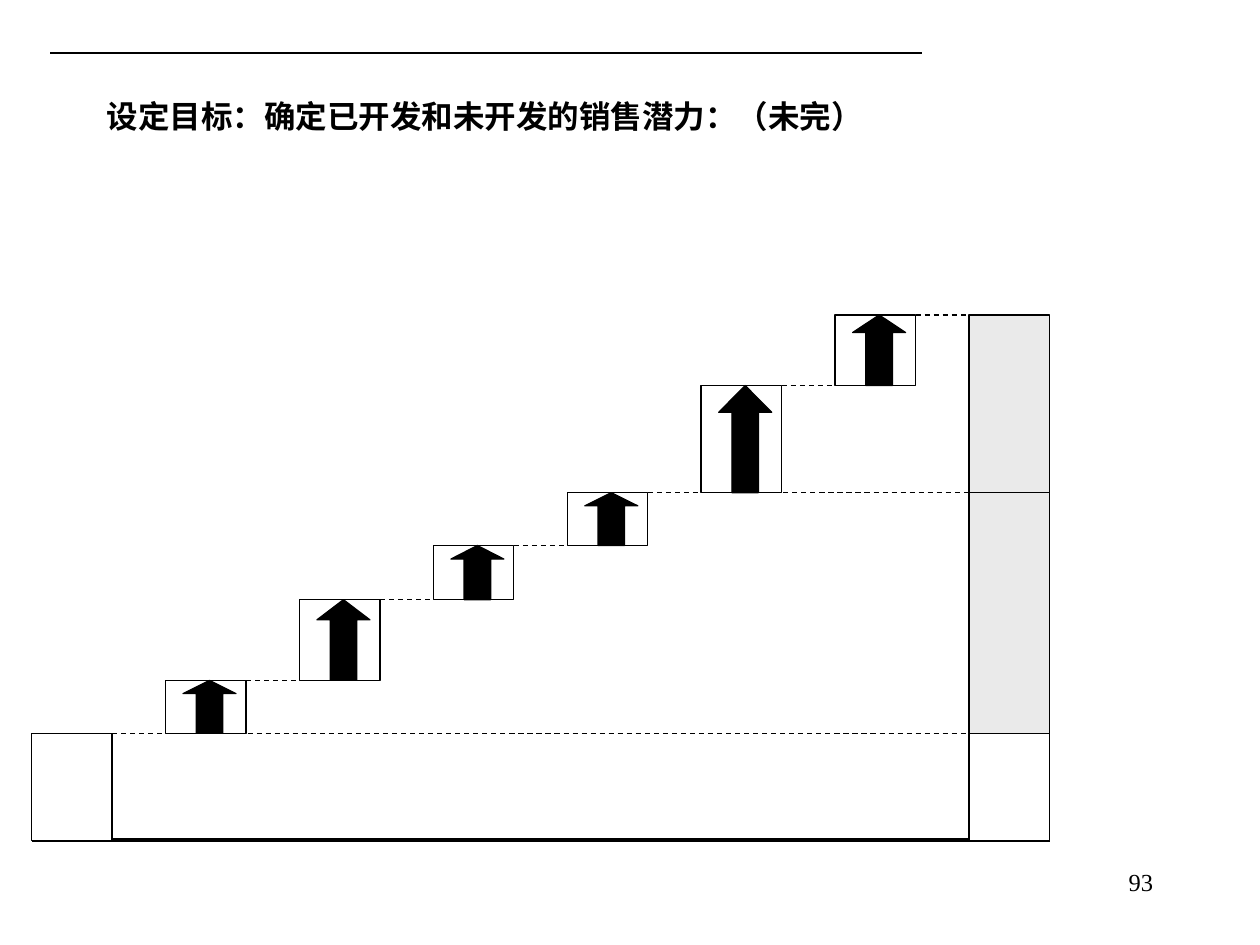
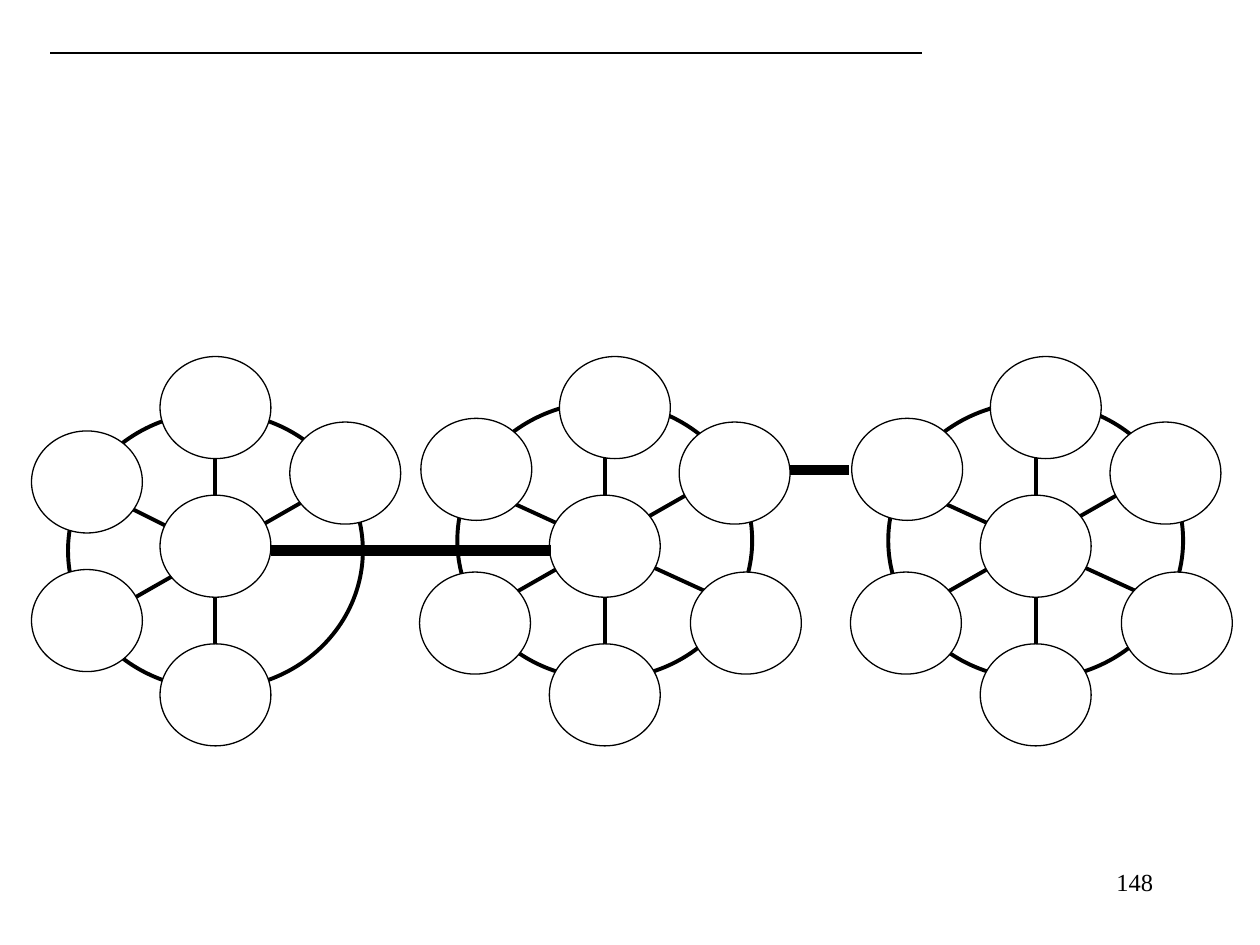
from lxml.etree import SubElement
from pptx import Presentation
from pptx.dml.color import RGBColor
from pptx.enum.dml import MSO_LINE
from pptx.enum.shapes import MSO_CONNECTOR, MSO_SHAPE
from pptx.enum.text import MSO_ANCHOR, PP_ALIGN
from pptx.oxml.ns import qn
from pptx.util import Inches, Pt

COLORS = {"ink": "000000", "paper": "FFFFFF", "potential": "EAEAEA"}
FONT = "Times New Roman"
THIN, RULE, BOLD, HEAVY = 0.75, 1.5, 2.25, 6

deck = Presentation()
deck.slide_width, deck.slide_height = Inches(10), Inches(7.5)
COLUMN = deck.slide_width / 10
ROW = deck.slide_height / 7.5


def add_figure(page, kind, box, fill="paper", weight=THIN):
    left, top, width, height = box
    figure = page.shapes.add_shape(
        kind, int(left * COLUMN), int(top * ROW), int(width * COLUMN), int(height * ROW))
    figure.shadow.inherit = False
    figure.fill.solid()
    figure.fill.fore_color.rgb = RGBColor.from_string(COLORS[fill])
    figure.line.color.rgb = RGBColor.from_string(COLORS["ink"])
    figure.line.width = Pt(weight)
    return figure


def add_stroke(page, start, end, weight=THIN, dash=None):
    stroke = page.shapes.add_connector(
        MSO_CONNECTOR.STRAIGHT, int(start[0] * COLUMN), int(start[1] * ROW),
        int(end[0] * COLUMN), int(end[1] * ROW))
    stroke.line.color.rgb = RGBColor.from_string(COLORS["ink"])
    stroke.line.width = Pt(weight)
    if dash:
        stroke.line.dash_style = dash
    SubElement(stroke._element.spPr, qn("a:effectLst"))


TITLE = {"box": (0.75, 0.42, 8.5, 1), "anchor": MSO_ANCHOR.MIDDLE, "align": PP_ALIGN.LEFT,
         "font": {"name": FONT, "size": Pt(18), "bold": True}}
NUMBER = {"box": (7.17, 6.83, 2.08, 0.5), "anchor": MSO_ANCHOR.TOP, "align": PP_ALIGN.RIGHT,
          "font": {"name": FONT, "size": Pt(14), "bold": False}}
page_texts = [
    [("设定目标：确定已开发和未开发的销售潜力：（未完）", TITLE), ("93", NUMBER)],
    [("148", NUMBER)],
]

pages = []
for texts in page_texts:
    page = deck.slides.add_slide(deck.slide_layouts[6])
    pages.append(page)
    add_stroke(page, (0.4, 0.42), (7.32, 0.42), RULE)
    for text, style in texts:
        left, top, width, height = style["box"]
        box = page.shapes.add_textbox(
            int(left * COLUMN), int(top * ROW), int(width * COLUMN), int(height * ROW))
        box.text_frame.word_wrap = True
        box.text_frame.vertical_anchor = style["anchor"]
        para = box.text_frame.paragraphs[0]
        para.alignment = style["align"]
        span = para.add_run()
        span.text = text
        for name, value in style["font"].items():
            setattr(span.font, name, value)
        span.font.color.rgb = RGBColor.from_string(COLORS["ink"])

stairs_page, network_page = pages

BAR_WIDTH, ARROW_INSET, ARROW_WIDTH = 0.64, 0.14, 0.42
FIRST_BAR, LAST_BAR, BASELINE = 0.25, 7.69, 6.67
step_heights = [0.85, 0.42, 0.64, 0.43, 0.42, 0.85, 0.56]
long_guides = (0, 4, 6)
pitch = (LAST_BAR - FIRST_BAR) / len(step_heights)

add_stroke(stairs_page, (FIRST_BAR, BASELINE), (LAST_BAR + BAR_WIDTH, BASELINE), BOLD)
top = BASELINE
total_bar_bottom = BASELINE
for step, height in enumerate(step_heights):
    left = FIRST_BAR + step * pitch
    top -= height
    add_figure(stairs_page, MSO_SHAPE.RECTANGLE, (left, top, BAR_WIDTH, height))
    guide_end = LAST_BAR if step in long_guides else left + pitch
    add_stroke(stairs_page, (left + BAR_WIDTH, top), (guide_end, top), THIN, MSO_LINE.DASH)
    if step:
        arrow = add_figure(stairs_page, MSO_SHAPE.UP_ARROW,
                           (left + ARROW_INSET, top, ARROW_WIDTH, height), "ink")
        arrow.adjustments[0] = 0.5
        arrow.adjustments[1] = height / 4 / ARROW_WIDTH
    if step in long_guides:
        add_figure(stairs_page, MSO_SHAPE.RECTANGLE,
                   (LAST_BAR, top, BAR_WIDTH, total_bar_bottom - top),
                   "potential" if step else "paper")
        total_bar_bottom = top

NODE_WIDTH, NODE_HEIGHT = 0.88, 0.81
RING_WIDTH, RING_HEIGHT, RING_OFFSET = 2.34, 2.2, -0.73
HUB_TOP, HUB_MIDDLE = 3.93, NODE_WIDTH / 2
five_nodes = {
    "ring_top": 3.27,
    "falling_spoke": ((HUB_MIDDLE, 4.37), (-0.58, 3.86)),
    "nodes": [(0, 5.11), (0, 2.83), (-1.02, 3.42), (-1.02, 4.52), (1.03, 3.35)],
}
six_nodes = {
    "ring_top": 3.19,
    "falling_spoke": ((1.43, 4.78), (-0.58, 3.86)),
    "nodes": [(0, 5.11), (0.08, 2.83), (-1.02, 3.32), (-1.03, 4.54), (1.03, 3.35), (1.12, 4.54)],
}

for hub_left, cluster in [(1.27, five_nodes), (4.36, six_nodes), (7.78, six_nodes)]:
    ring_top = cluster["ring_top"]
    add_figure(network_page, MSO_SHAPE.OVAL,
               (hub_left + RING_OFFSET, ring_top, RING_WIDTH, RING_HEIGHT), weight=BOLD)
    spokes = [
        ((HUB_MIDDLE, ring_top), (HUB_MIDDLE, ring_top + RING_HEIGHT)),
        cluster["falling_spoke"],
        ((-0.58, ring_top + 1.69), (1.47, ring_top + 0.52)),
    ]
    for start, end in spokes:
        add_stroke(network_page, (hub_left + start[0], start[1]), (hub_left + end[0], end[1]), BOLD)
    for offset, node_top in [(0, HUB_TOP)] + cluster["nodes"]:
        add_figure(network_page, MSO_SHAPE.OVAL,
                   (hub_left + offset, node_top, NODE_WIDTH, NODE_HEIGHT))

for link_start, link_end, link_row in [(2.15, 4.37, 4.37), (6.27, 6.74, 3.73)]:
    add_stroke(network_page, (link_start, link_row), (link_end, link_row), HEAVY)

deck.save("out.pptx")
